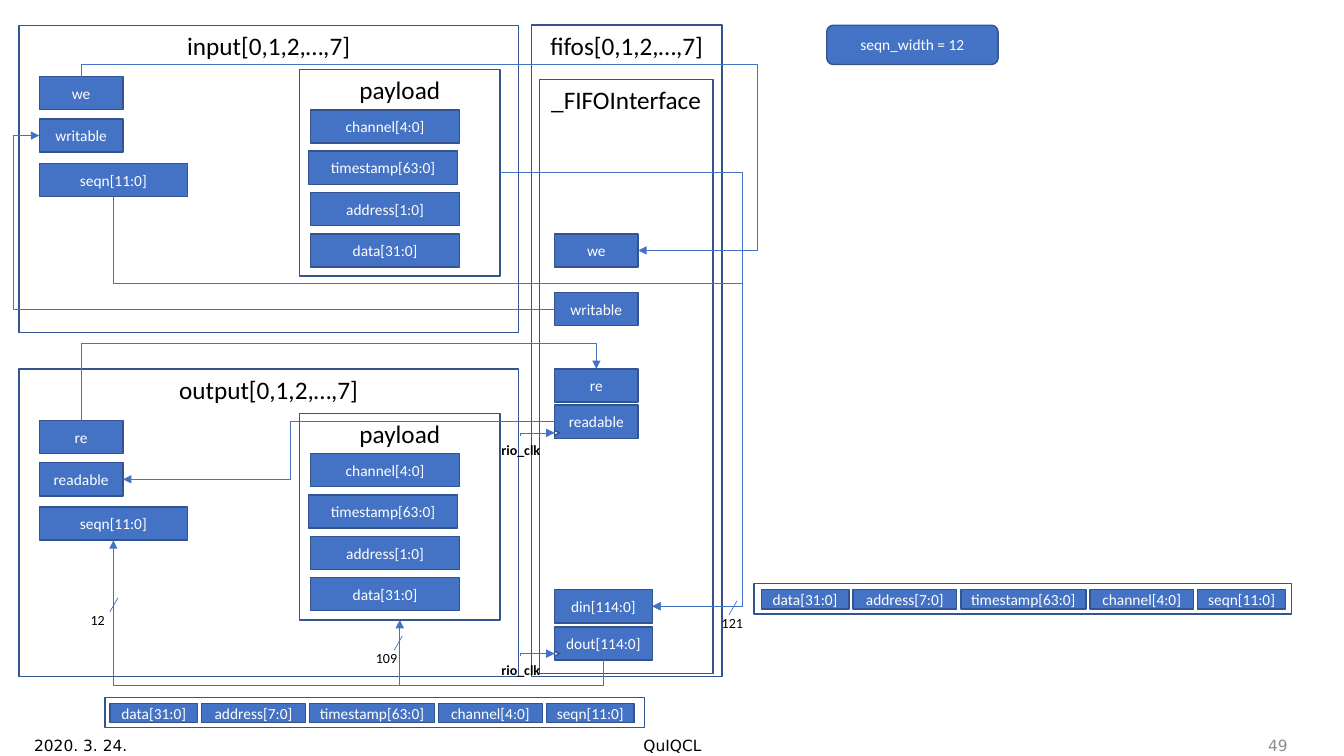
from dataclasses import dataclass
from typing import Optional

from lxml import etree
from pptx import Presentation
from pptx import util as u
from pptx.dml.color import RGBColor
from pptx.enum import shapes, text
from pptx.oxml.ns import qn


@dataclass(frozen=True)
class Theme:
    block: str = "4472C4"
    border: str = "325491"
    wire: str = "4472C4"
    white: str = "FFFFFF"
    black: str = "000000"
    gray: str = "8C8C8C"
    font: str = "Calibri"
    footer_font: str = "DejaVu Sans"
    heading: int = 18
    body: int = 11
    small: int = 10


@dataclass
class Box:
    x: float
    y: float
    w: float
    h: float
    label: str = ""
    key: str = ""


@dataclass
class Link:
    start: str
    start_side: int
    end: str
    end_side: int
    lane_x: Optional[float] = None
    lane_y: Optional[float] = None


@dataclass
class Label:
    box: Box
    size: int
    bold: bool = False
    color: str = "000000"
    font: str = "Calibri"
    align: text.PP_ALIGN = text.PP_ALIGN.LEFT
    wrap: bool = True
    middle: bool = False


T = Theme()
TOP, LEFT, BOTTOM, RIGHT = range(4)
RECT = shapes.MSO_SHAPE.RECTANGLE

prs = Presentation()
prs.slide_width, prs.slide_height = u.Inches(13.33), u.Inches(7.5)
s = prs.slides.add_slide(prs.slide_layouts[6])

# Grid: 133.3 columns by 75 rows
COL, ROW = prs.slide_width / 133.3, prs.slide_height / 75
parts = {}


def col(n: float) -> int:
    return round(n * COL)


def row(n: float) -> int:
    return round(n * ROW)


def place(b: Box) -> tuple:
    return col(b.x), row(b.y), col(b.w), row(b.h)


def write(tf, words: str, size: int, color: str, align, font: str = T.font, bold: bool = False) -> None:
    p = tf.paragraphs[0]
    p.alignment = align
    r = p.add_run()
    r.text = words
    r.font.size, r.font.name, r.font.bold = u.Pt(size), font, bold
    r.font.color.rgb = RGBColor.from_string(color)


def draw_box(b: Box, fill: Optional[str] = T.block, kind=RECT):
    sp = s.shapes.add_shape(kind, *place(b))
    sp.shadow.inherit = False
    if fill:
        sp.fill.solid()
        sp.fill.fore_color.rgb = RGBColor.from_string(fill)
    else:
        sp.fill.background()
    sp.line.color.rgb = RGBColor.from_string(T.border)
    sp.line.width = u.Pt(1)
    if b.label:
        tf = sp.text_frame
        tf.word_wrap = True
        tf.margin_left = tf.margin_right = 0
        tf.vertical_anchor = text.MSO_ANCHOR.MIDDLE if fill else text.MSO_ANCHOR.TOP
        size, color = (T.body, T.white) if fill else (T.heading, T.black)
        write(tf, b.label, size, color, text.PP_ALIGN.CENTER)
    parts[b.key or b.label] = sp
    return sp


def draw_label(d: Label):
    sp = s.shapes.add_textbox(*place(d.box))
    tf = sp.text_frame
    tf.word_wrap = d.wrap
    tf.vertical_anchor = text.MSO_ANCHOR.MIDDLE if d.middle else text.MSO_ANCHOR.TOP
    write(tf, d.box.label, d.size, d.color, d.align, d.font, d.bold)
    return sp


def style_wire(c, arrow: bool) -> None:
    c.line.color.rgb = RGBColor.from_string(T.wire)
    c.line.width = u.Pt(0.5)
    if arrow:
        etree.SubElement(c.line._get_or_add_ln(), qn("a:tailEnd"), type="triangle")
    etree.SubElement(c._element.spPr, qn("a:effectLst"))


def route(c, vertical: bool, lane_x: Optional[float] = None, lane_y: Optional[float] = None) -> None:
    """Bend an elbow through the given lanes, leaving its start vertically or not."""
    x0, y0, x1, y1 = c.begin_x, c.begin_y, c.end_x, c.end_y
    dx, dy = x1 - x0, y1 - y0
    ratio_x = None if lane_x is None else (col(lane_x) - x0) / dx
    ratio_y = None if lane_y is None else (row(lane_y) - y0) / dy
    bends = [b for b in ((ratio_y, ratio_x) if vertical else (ratio_x, ratio_y)) if b is not None]
    geom = c._element.spPr.find(qn("a:prstGeom"))
    geom.set("prst", f"bentConnector{2 + len(bends)}")
    for i, bend in enumerate(bends, 1):
        etree.SubElement(geom.find(qn("a:avLst")), qn("a:gd"), name=f"adj{i}", fmla=f"val {round(bend * 100000)}")
    if vertical:
        c.width, c.height = abs(dy), abs(dx)
        c.left, c.top = (x0 + x1 - abs(dy)) // 2, (y0 + y1 - abs(dx)) // 2
        xfrm = c._element.spPr.find(qn("a:xfrm"))
        xfrm.set("rot", "5400000")
        xfrm.set("flipH", str(int(dy < 0)))
        xfrm.set("flipV", str(int(dx > 0)))
    style_wire(c, True)


def draw_link(k: Link) -> None:
    c = s.shapes.add_connector(shapes.MSO_CONNECTOR.ELBOW, 0, 0, col(1), row(1))
    c.begin_connect(parts[k.start], k.start_side)
    c.end_connect(parts[k.end], k.end_side)
    route(c, k.start_side in (TOP, BOTTOM), k.lane_x, k.lane_y)


# Input and output panels
def draw_panel(name: str, y: float, signals: tuple) -> None:
    draw_box(Box(1.9, y, 49.5, 30.5, f"{name}[0,1,2,…,7]"), None)
    for signal, dy, w in zip((*signals, "seqn[11:0]"), (5.1, 9.3, 13.7), (8.3, 8.3, 14.7)):
        draw_box(Box(3.9, y + dy, w, 3.3, signal, f"{name}.{signal}"))
    draw_box(Box(29.7, y + 4.4, 19.9, 20.5, "payload", f"{name}.payload"), None)
    for i, field in enumerate(("channel[4:0]", "timestamp[63:0]", "address[1:0]", "data[31:0]")):
        x = 30.6 if i == 1 else 30.8
        draw_box(Box(x, y + 8.4 + 4.1 * i, 14.8, 3.3, field, f"{name}.{field}"))


draw_panel("input", 2.5, ("we", "writable"))
draw_panel("output", 36.6, ("re", "readable"))
draw_box(Box(82, 2.5, 17, 3.9, "seqn_width = 12"), kind=shapes.MSO_SHAPE.ROUNDED_RECTANGLE)

# FIFO column
draw_box(Box(52.7, 2.5, 18.9, 64.6, "fifos[0,1,2,…,7]"), None)
draw_box(Box(53.5, 7.9, 17.2, 58.9, "_FIFOInterface"), None)
for port, y, w in (("we", 23.2, 8.3), ("writable", 29, 8.3), ("re", 36.6, 8.3),
                   ("readable", 40.2, 8.3), ("din[114:0]", 58.5, 9.7), ("dout[114:0]", 62.2, 9.7)):
    draw_box(Box(55, y, w, 3.3, port, f"fifo.{port}"))

# Clock inputs
for label_y, tick_y in ((43.3, 42.7), (65.1, 64.6)):
    tick = draw_box(Box(55, tick_y, 0.5, 0.5, key="tick"), T.white, shapes.MSO_SHAPE.ISOSCELES_TRIANGLE)
    tick.rotation = 90
    clock = draw_label(Label(Box(47.2, label_y, 8.9, 2.7, "rio_clk"), T.small, True, align=text.PP_ALIGN.CENTER))
    c = s.shapes.add_connector(shapes.MSO_CONNECTOR.ELBOW, col(51.6), row(label_y), col(55), row(tick_y + 0.25))
    c.begin_connect(clock, TOP)
    route(c, True)

# Packed words
WORD = (("data[31:0]", 8.7), ("address[7:0]", 10.3), ("timestamp[63:0]", 12.4),
        ("channel[4:0]", 10.3), ("seqn[11:0]", 8.7))
for frame, inset in ((Box(74.8, 57.9, 53.3, 3, key="din word"), 0.7),
                     (Box(10.4, 69.2, 53.5, 3, key="dout word"), 0.5)):
    draw_box(frame, None)
    x = frame.x + inset
    for field, w in WORD:
        draw_box(Box(x, frame.y + 0.6, w, 1.9, field, f"{frame.key}.{field}"))
        x += w + 0.4

# Wiring
for link in (
    Link("input.seqn[11:0]", BOTTOM, "fifo.din[114:0]", RIGHT, 73.6, 28.1),
    Link("input.payload", RIGHT, "fifo.din[114:0]", RIGHT, 73.6),
    Link("fifo.writable", LEFT, "input.writable", LEFT, 1.3),
    Link("input.we", TOP, "fifo.we", RIGHT, 75.1, 6.4),
    Link("fifo.dout[114:0]", BOTTOM, "output.payload", BOTTOM, lane_y=68),
    Link("fifo.dout[114:0]", BOTTOM, "output.seqn[11:0]", BOTTOM, lane_y=68),
    Link("fifo.readable", LEFT, "output.readable", RIGHT, 28.8),
    Link("output.re", TOP, "fifo.re", TOP, lane_y=34.1),
):
    draw_link(link)

# Bus widths: a slash across the wire and its bit count
for x, y, count in ((72.3, 59.6, Box(70.6, 60.5, 4.2, 2.7, "121")),
                    (39.1, 63.1, Box(36.3, 63.9, 4.2, 2.7, "109")),
                    (10.9, 59.3, Box(8, 60.2, 3.5, 2.7, "12"))):
    c = s.shapes.add_connector(shapes.MSO_CONNECTOR.STRAIGHT, col(x + 0.8), row(y), col(x), row(y + 1.4))
    style_wire(c, False)
    draw_label(Label(count, T.small, wrap=False))

# Footer
for x, w, words, align, color in ((2.4, 30, "2020. 3. 24.", text.PP_ALIGN.LEFT, T.black),
                                  (44.2, 45, "QuIQCL", text.PP_ALIGN.CENTER, T.black),
                                  (98.7, 30, "49", text.PP_ALIGN.RIGHT, T.gray)):
    draw_label(Label(Box(x, 71.9, w, 4, words), T.body, False, color, T.footer_font, align, middle=True))

prs.save("out.pptx")
